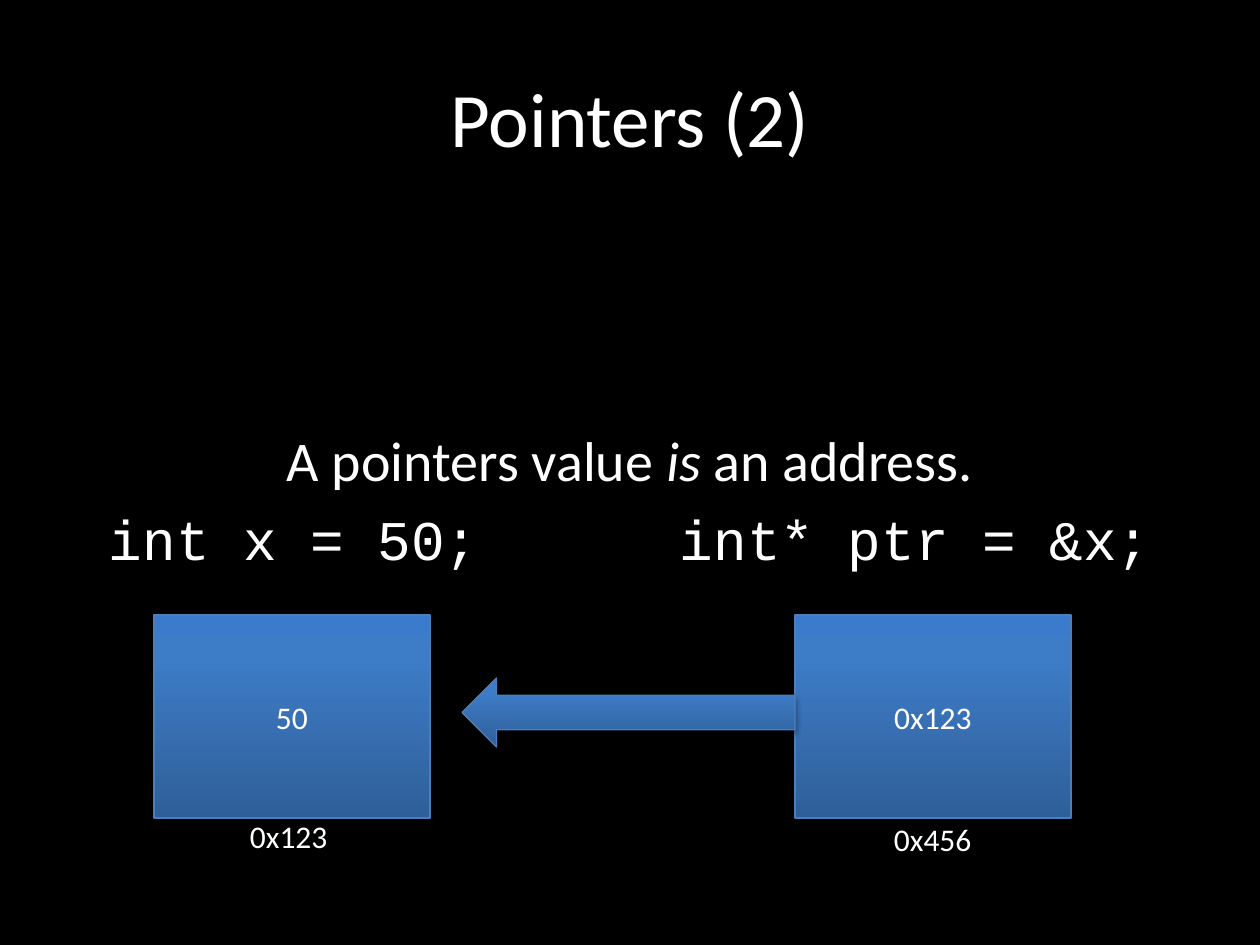
from lxml import etree
from pptx import Presentation
from pptx.dml.color import RGBColor
from pptx.enum.shapes import MSO_SHAPE
from pptx.enum.text import MSO_ANCHOR, MSO_AUTO_SIZE, PP_ALIGN
from pptx.oxml.ns import qn
from pptx.util import Pt

SCALE = 914400 // 126
RECTANGLE, LEFT_ARROW = MSO_SHAPE.RECTANGLE, MSO_SHAPE.LEFT_ARROW
MIDDLE = MSO_ANCHOR.MIDDLE
GROW = MSO_AUTO_SIZE.SHAPE_TO_FIT_TEXT
LEFT, CENTER = PP_ALIGN.LEFT, PP_ALIGN.CENTER
COLORS = {"background": "000000", "text": "FFFFFF", "line": "4B7EBC",
          "shadow": "000000"}
GRADIENT = [(0, "2F5F99"), (80, "3D7CC7"), (100, "3A7CCB")]


def px(length):
    """Turn picture pixels into EMU."""
    return length * SCALE


def rgb(name):
    """Look up a named colour."""
    return RGBColor.from_string(COLORS[name])


def child(parent, tag, **attributes):
    """Append a DrawingML element."""
    return etree.SubElement(parent, qn(tag), {k: str(v) for k, v in attributes.items()})


def add_text(paragraph, text, size=18, font="Calibri", italic=False, align=CENTER):
    """Append one formatted run to a paragraph."""
    paragraph.alignment = align
    run = paragraph.add_run()
    run.text = text
    run.font.size = Pt(size)
    run.font.name = font
    run.font.italic = italic
    run.font.color.rgb = rgb("text")


def add_box(slide, left, top, width, height, wrap=True):
    """Add an empty text box and return its text frame."""
    shape = slide.shapes.add_textbox(px(left), px(top), px(width), px(height))
    shape.text_frame.word_wrap = wrap
    return shape.text_frame


def add_glossy_shape(slide, kind, left, top, width, height):
    """Add a blue shape with an upward gradient and a soft shadow."""
    shape = slide.shapes.add_shape(kind, px(left), px(top), px(width), px(height))
    shape.fill.gradient()
    shape.line.color.rgb = rgb("line")
    shape.line.width = Pt(0.75)
    shape.shadow.inherit = False
    properties = shape.element.spPr
    gradient = properties.find(qn("a:gradFill"))
    stops = gradient.find(qn("a:gsLst"))
    for stop in list(stops):
        stops.remove(stop)
    for position, color in GRADIENT:
        stop = child(stops, "a:gs", pos=position * 1000)
        child(stop, "a:srgbClr", val=color)
    gradient.find(qn("a:lin")).set("ang", str(270 * 60000))
    shadow = child(properties.find(qn("a:effectLst")), "a:outerShdw",
                   blurRad=Pt(3.1), dist=Pt(1.8), dir=90 * 60000, rotWithShape=0)
    color = child(shadow, "a:srgbClr", val=COLORS["shadow"])
    child(color, "a:alpha", val=35000)
    return shape


def add_title(slide, left, top, width, height):
    """Place and fill the title placeholder."""
    title = slide.shapes.title
    title.left, title.top = px(left), px(top)
    title.width, title.height = px(width), px(height)
    title.text_frame.vertical_anchor = MIDDLE
    add_text(title.text_frame.paragraphs[0], "Pointers (2)", size=44)


def add_body(slide, left, top, width, height):
    """Add the statement and, below it, two declarations set apart by a tab."""
    frame = add_box(slide, left, top, width, height)
    frame.vertical_anchor = MIDDLE
    frame.margin_left = frame.margin_right = px(46)
    frame.margin_bottom = px(73)
    statement, code = frame.paragraphs[0], frame.add_paragraph()
    for paragraph in (statement, code):
        paragraph.space_before = Pt(6.4)
    for text, italic in (("A pointers value ", False), ("is", True), (" an address.", False)):
        add_text(statement, text, size=32, italic=italic)
    add_text(code, "int x = 50;\tint* ptr = &x;", size=32, font="Courier New", align=LEFT)
    tabs = child(code._p.get_or_add_pPr(), "a:tabLst")
    child(tabs, "a:tab", pos=px(571), algn="l")


def add_memory_cell(slide, left, top, width, height, value, address, label_left, label_top):
    """Add a cell with its value inside and its address at an offset."""
    cell = add_glossy_shape(slide, RECTANGLE, left, top, width, height)
    cell.text_frame.vertical_anchor = MIDDLE
    add_text(cell.text_frame.paragraphs[0], value)
    label = add_box(slide, left + label_left, top + label_top, 102, 50, wrap=False)
    label.auto_size = GROW
    label.margin_left = label.margin_right = px(12)
    add_text(label.paragraphs[0], address, align=LEFT)


def build():
    """Build and save the slide."""
    presentation = Presentation()
    presentation.slide_width, presentation.slide_height = px(1260), px(945)
    slide = presentation.slides.add_slide(presentation.slide_layouts[5])
    slide.background.fill.solid()
    slide.background.fill.fore_color.rgb = rgb("background")
    add_title(slide, 63, 38, 1134, 157)
    add_body(slide, 63, 220, 1134, 624)
    add_memory_cell(slide, 154, 615, 276, 203, "50", "0x123", 84, 196)
    add_memory_cell(slide, 795, 615, 276, 203, "0x123", "0x456", 87, 199)
    add_glossy_shape(slide, LEFT_ARROW, 462, 678, 333, 69)
    presentation.save("out.pptx")


build()
